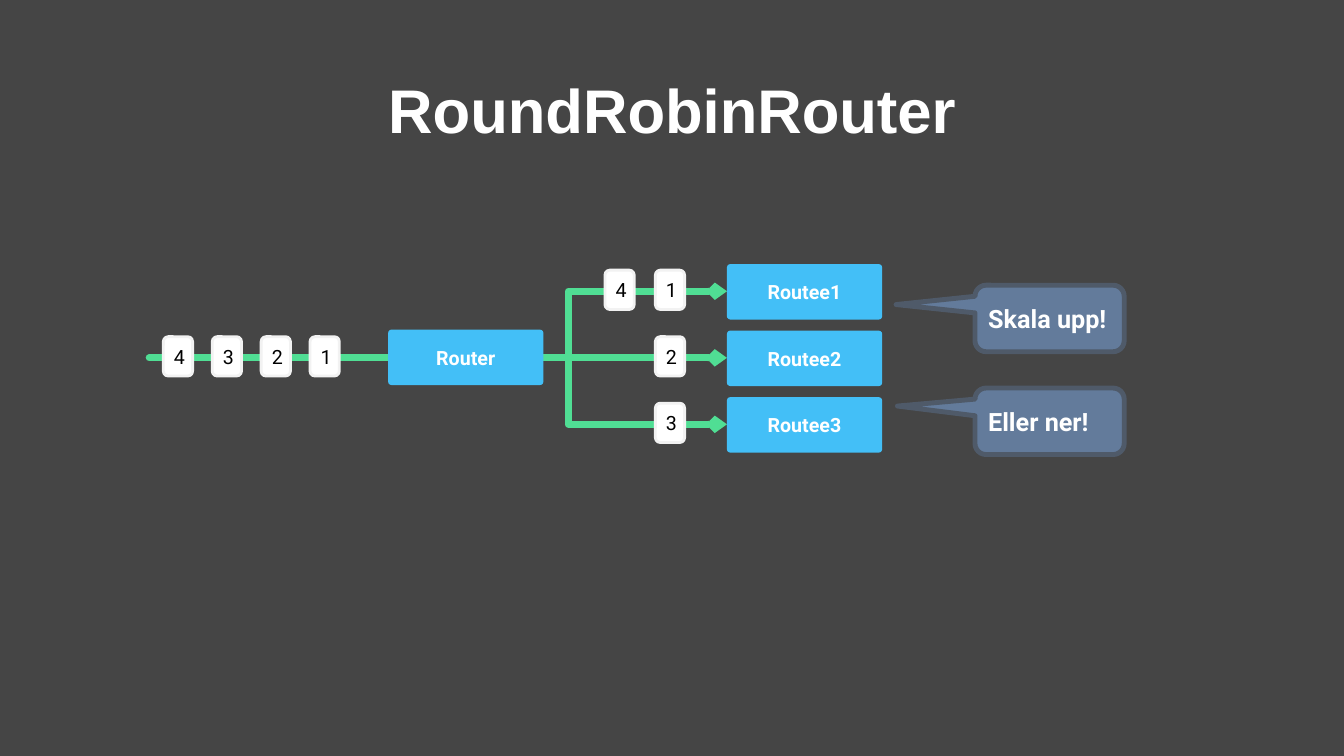
from lxml import etree
from pptx import Presentation
from pptx.dml.color import RGBColor
from pptx.enum.shapes import MSO_CONNECTOR, MSO_SHAPE
from pptx.enum.text import MSO_ANCHOR, PP_ALIGN
from pptx.oxml.ns import qn
from pptx.util import Inches, Pt

ROUND = MSO_SHAPE.ROUNDED_RECTANGLE
CALLOUT = MSO_SHAPE.ROUNDED_RECTANGULAR_CALLOUT
STRAIGHT, ELBOW = MSO_CONNECTOR.STRAIGHT, MSO_CONNECTOR.ELBOW
MIDDLE = MSO_ANCHOR.MIDDLE
LEFT, CENTER = PP_ALIGN.LEFT, PP_ALIGN.CENTER

COLORS = {
    "back": "454545", "white": "FFFFFF", "black": "000000",
    "wire": "50DE94", "node": "43BFF7", "rim": "F2F2F2",
    "note": "637B9B", "edge": "4F5A69",
}


def color(name):
    return RGBColor.from_string(COLORS[name])


class Board:
    font = "Roboto"

    def __init__(self, deck):
        self.slide = deck.slides.add_slide(deck.slide_layouts[5])
        fill = self.slide.background.fill
        fill.solid()
        fill.fore_color.rgb = color("back")

    def label(self, frame, text, size, ink="white", bold=True,
              align=CENTER, font=None):
        frame.vertical_anchor = MIDDLE
        para = frame.paragraphs[0]
        para.alignment = align
        run = para.add_run()
        run.text = text
        run.font.name = font or self.font
        run.font.size = Pt(size)
        run.font.bold = bold
        run.font.color.rgb = color(ink)
        return para

    def title(self, text):
        box = self.slide.shapes.title
        box.left, box.top = Inches(0.92), Inches(0.4)
        box.width, box.height = Inches(11.5), Inches(1.45)
        para = self.label(box.text_frame, text, 44, font="Arial")
        para.line_spacing = 0.9

    def shape(self, kind, x, y, w, h, fill, line=None, weight=0):
        item = self.slide.shapes.add_shape(
            kind, Inches(x), Inches(y), Inches(w), Inches(h))
        item.shadow.inherit = False
        item.fill.solid()
        item.fill.fore_color.rgb = color(fill)
        if line:
            item.line.color.rgb = color(line)
            item.line.width = Pt(weight)
        else:
            item.line.fill.background()
        return item

    def node(self, text, x, y):
        item = self.shape(ROUND, x, y, 1.54, 0.55, "node")
        item.adjustments[0] = 0.062
        self.label(item.text_frame, text, 14)

    def token(self, text, x, y):
        item = self.shape(ROUND, x, y, 0.29, 0.39, "white", "rim", 2)
        frame = item.text_frame
        frame.margin_left = Inches(0.03)
        frame.margin_right = 0
        self.label(frame, text, 14, "black", False)

    def note(self, text, y, tip):
        item = self.shape(CALLOUT, 9.67, y, 1.48, 0.66, "note", "edge", 3.5)
        for i, value in enumerate((*tip, 0.167)):
            item.adjustments[i] = value
        item.text_frame.word_wrap = True
        self.label(item.text_frame, text, 18, align=LEFT)

    def wire(self, x1, y1, x2, y2, arrow=True):
        kind = STRAIGHT if y1 == y2 else ELBOW
        item = self.slide.shapes.add_connector(
            kind, Inches(x1), Inches(y1), Inches(x2), Inches(y2))
        item.line.color.rgb = color("wire")
        item.line.width = Pt(5)
        props = item._element.spPr
        if kind == ELBOW:
            # Place the bend near the router
            geom = props.find(qn("a:prstGeom"))
            guides = geom.find(qn("a:avLst"))
            if guides is None:
                guides = etree.SubElement(geom, qn("a:avLst"))
            etree.SubElement(guides, qn("a:gd"), name="adj1", fmla="val 13500")
        # Round ends, small arrowhead, no shadow
        line = props.find(qn("a:ln"))
        line.set("cap", "rnd")
        etree.SubElement(line, qn("a:round"))
        if arrow:
            etree.SubElement(line, qn("a:tailEnd"),
                             type="arrow", w="sm", len="sm")
        etree.SubElement(props, qn("a:effectLst"))


def main():
    deck = Presentation()
    deck.slide_width, deck.slide_height = Inches(13.33), Inches(7.5)
    board = Board(deck)
    board.title("RoundRobinRouter")

    # Wires from the queue through the router
    mid, step = 3.55, 0.66
    for row in (1, -1, 0):
        board.wire(5.39, mid, 7.21, mid + row * step)
    board.wire(1.48, mid, 3.85, mid, arrow=False)

    # Waiting messages
    for i, text in enumerate("4321"):
        board.token(text, 1.62 + i * 0.485, 3.34)

    # Routees and the messages sent to each
    board.node("Router", 3.85, 3.27)
    for row, sent in enumerate(("14", "2", "3")):
        for i, text in enumerate(sent):
            board.token(text, 6.5 - i * 0.5, 2.68 + row * step)
        board.node(f"Routee{row + 1}", 7.21, 2.62 + row * step)

    # Callouts
    board.note("Skala upp!", 2.83, (-1.029, -0.209))
    board.note("Eller ner!", 3.85, (-1.02, -0.229))
    deck.save("out.pptx")


if __name__ == "__main__":
    main()
